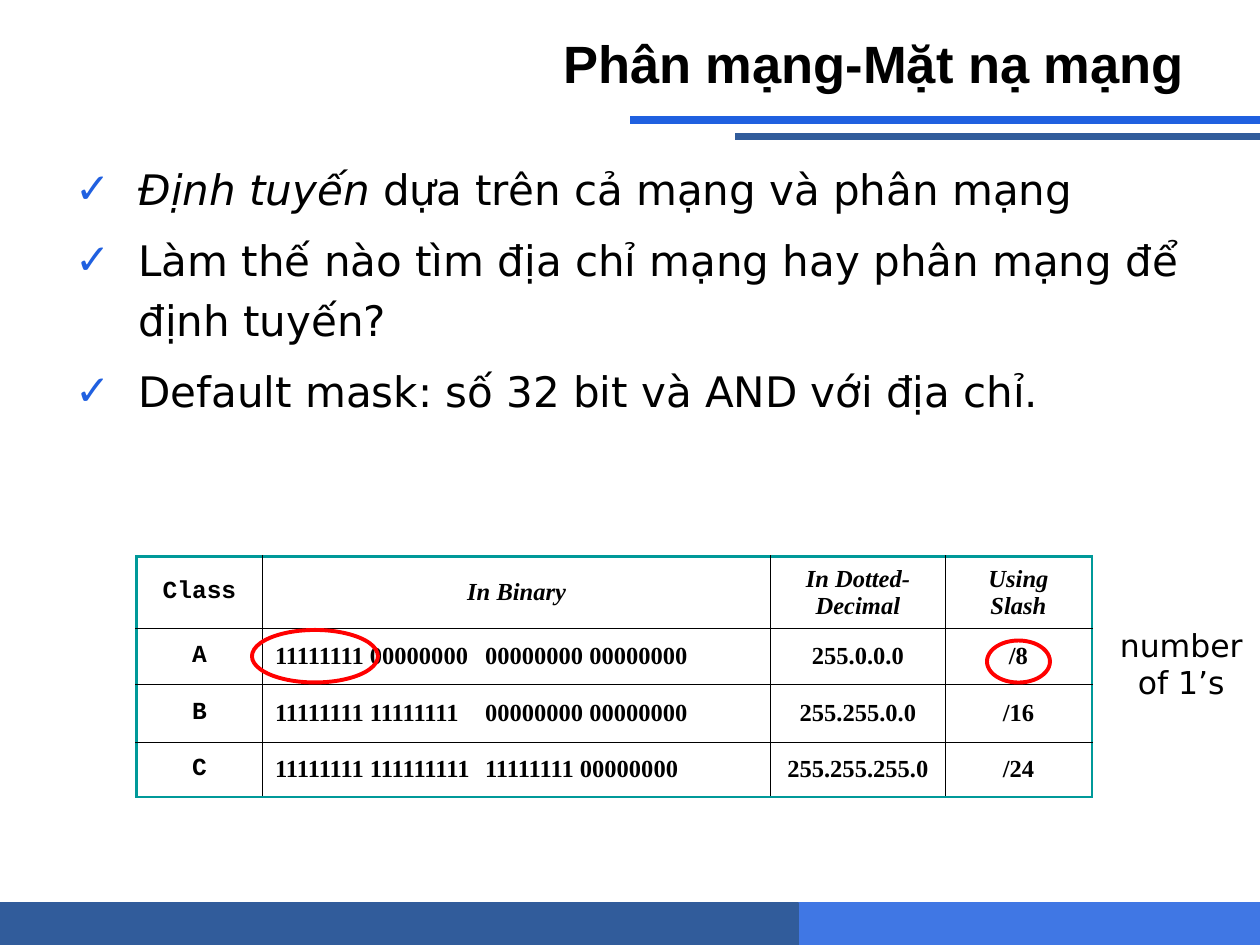
from typing import Any, NamedTuple

from lxml import etree
from pptx import Presentation
from pptx.dml.color import RGBColor
from pptx.enum.shapes import MSO_CONNECTOR, MSO_SHAPE
from pptx.enum.text import MSO_ANCHOR, MSO_AUTO_SIZE, PP_ALIGN
from pptx.oxml.ns import qn
from pptx.util import Pt

BLACK = RGBColor(0x00, 0x00, 0x00)
WHITE = RGBColor(0xFF, 0xFF, 0xFF)
BLUE = RGBColor(0x20, 0x60, 0xE0)
SKY = RGBColor(0x40, 0x77, 0xE4)
NAVY = RGBColor(0x31, 0x5C, 0x9B)
TEAL = RGBColor(0x00, 0x99, 0x99)
RED = RGBColor(0xFF, 0x00, 0x00)

RECT, OVAL = MSO_SHAPE.RECTANGLE, MSO_SHAPE.OVAL
LINE = MSO_CONNECTOR.STRAIGHT
LEFT, MID, RIGHT = PP_ALIGN.LEFT, PP_ALIGN.CENTER, PP_ALIGN.RIGHT
TOP, CENTER = MSO_ANCHOR.TOP, MSO_ANCHOR.MIDDLE
FIXED = MSO_AUTO_SIZE.NONE

SANS, MONO, SERIF = "DejaVu Sans", "Courier New", "Times New Roman"
HEAD = {"name": "Arial", "size": Pt(30), "bold": True}
BODY = {"name": SANS, "size": Pt(24), "bold": False}
NOTE = {"name": SANS, "size": Pt(18)}
CELL = {"size": Pt(14), "bold": True}


class Box(NamedTuple):
    x: float
    y: float
    w: float
    h: float


class Form(NamedTuple):
    kind: Any
    box: Box
    fill: RGBColor | None
    line: RGBColor
    width: float


class Rule(NamedTuple):
    x: float
    y: float
    color: RGBColor


class Edge(NamedTuple):
    tag: str
    outer: bool


BARS = [
    Form(RECT, Box(360, 516, 360, 24), SKY, SKY, 0.75),
    Form(RECT, Box(0, 516, 456, 24), NAVY, NAVY, 0.75),
]
RINGS = [
    Form(OVAL, Box(144, 360, 72, 30), None, RED, 2.25),
    Form(OVAL, Box(564, 366, 36, 24), None, RED, 2.25),
]
RULES = [Rule(360, 68.5, BLUE), Rule(420, 78, NAVY)]
ITEMS = [
    [("Định tuyến ", True), ("dựa trên cả mạng và phân mạng", False)],
    [("Làm thế nào tìm địa chỉ mạng hay phân mạng để định tuyến?", False)],
    [("Default mask: số 32 bit và AND với địa chỉ.", False)],
]
COLS = [72, 290.5, 99.5, 84]
ROWS = [41, 32, 33, 31.5]
DATA = [
    ["Class", "In Binary", "In Dotted-Decimal", "Using Slash"],
    ["A", "11111111 00000000\t00000000 00000000", "255.0.0.0", "/8"],
    ["B", "11111111 11111111\t00000000 00000000", "255.255.0.0", "/16"],
    ["C", "11111111 111111111\t11111111 00000000", "255.255.255.0", "/24"],
]


def apply(item: Any, values: dict[str, Any]) -> None:
    for key, value in values.items():
        setattr(item, key, value)


def place(shape: Any, box: Box) -> None:
    names = ("left", "top", "width", "height")
    apply(shape, dict(zip(names, map(Pt, box))))


def write(para: Any, text: str, style: dict[str, Any]) -> None:
    run = para.add_run()
    run.text = text
    apply(run.font, style)
    run.font.color.rgb = BLACK


def draw_form(shapes: Any, form: Form) -> None:
    shape = shapes.add_shape(form.kind, *map(Pt, form.box))
    shape.shadow.inherit = False
    if form.fill is None:
        shape.fill.background()
    else:
        shape.fill.solid()
        shape.fill.fore_color.rgb = form.fill
    shape.line.color.rgb = form.line
    shape.line.width = Pt(form.width)


def draw_rule(shapes: Any, rule: Rule) -> None:
    line = shapes.add_connector(LINE, Pt(720), Pt(rule.y), Pt(rule.x), Pt(rule.y))
    line.line.color.rgb = rule.color
    line.line.width = Pt(4.5)
    etree.SubElement(line._element.spPr, qn("a:effectLst"))


def draw_list(shape: Any) -> None:
    place(shape, Box(36, 84, 648, 408))
    frame = shape.text_frame
    apply(frame, {"vertical_anchor": TOP, "auto_size": FIXED, "word_wrap": True})
    for i, parts in enumerate(ITEMS):
        para = frame.add_paragraph() if i else frame.paragraphs[0]
        props = para._p.get_or_add_pPr()
        apply_indent = {"marL": Pt(36), "indent": Pt(-36)}
        for key, value in apply_indent.items():
            props.set(key, str(value))
        tint = etree.SubElement(props, qn("a:buClr"))
        etree.SubElement(tint, qn("a:srgbClr"), val=str(BLUE))
        etree.SubElement(props, qn("a:buChar"), char="✓")
        apply(para, {"line_spacing": 1.2, "space_before": Pt(6 if i else 0)})
        for text, slant in parts:
            write(para, text, BODY | {"italic": slant})


def draw_edge(cell: Any, spot: int, edge: Edge) -> None:
    width = Pt(1.5 if edge.outer else 0.5)
    line = etree.Element(qn(f"a:{edge.tag}"), w=str(width))
    fill = etree.SubElement(line, qn("a:solidFill"))
    color = TEAL if edge.outer else BLACK
    etree.SubElement(fill, qn("a:srgbClr"), val=str(color))
    cell._tc.get_or_add_tcPr().insert(spot, line)


def draw_cell(cell: Any, row: int, col: int) -> None:
    cell.fill.solid()
    cell.fill.fore_color.rgb = WHITE
    cell.vertical_anchor = CENTER
    para = cell.text_frame.paragraphs[0]
    text = DATA[row][col]
    if "\t" in text:
        tabs = etree.SubElement(para._p.get_or_add_pPr(), qn("a:tabLst"))
        etree.SubElement(tabs, qn("a:tab"), pos=str(Pt(120)), algn="l")
    para.alignment = LEFT if row and col == 1 else MID
    para.space_after = Pt(0 if col else 3)
    face = SERIF if col else MONO
    write(para, text, CELL | {"name": face, "italic": row == 0 and col > 0})
    edges = [
        Edge("lnL", col == 0),
        Edge("lnR", col == len(COLS) - 1),
        Edge("lnT", row == 0),
        Edge("lnB", row == len(ROWS) - 1),
    ]
    for spot, edge in enumerate(edges):
        draw_edge(cell, spot, edge)


def draw_table(shapes: Any) -> None:
    box = Box(78, 318, sum(COLS), sum(ROWS))
    table = shapes.add_table(len(ROWS), len(COLS), *map(Pt, box)).table
    apply(table, {"first_row": False, "horz_banding": False})
    for col, width in zip(table.columns, COLS):
        col.width = Pt(width)
    for r, height in enumerate(ROWS):
        table.rows[r].height = Pt(height)
        for c in range(len(COLS)):
            draw_cell(table.cell(r, c), r, c)


def main() -> None:
    deck = Presentation()
    apply(deck, {"slide_width": Pt(720), "slide_height": Pt(540)})
    slide = deck.slides.add_slide(deck.slide_layouts[1])
    shapes = slide.shapes
    for bar in BARS:
        draw_form(shapes, bar)
    for rule in RULES:
        draw_rule(shapes, rule)
    title = shapes.title
    place(title, Box(36, 12, 648, 48))
    apply(title.text_frame, {"vertical_anchor": CENTER, "auto_size": FIXED})
    para = title.text_frame.paragraphs[0]
    para.alignment = RIGHT
    write(para, "Phân mạng-Mặt nạ mạng", HEAD)
    draw_list(slide.placeholders[1])
    draw_table(shapes)
    for ring in RINGS:
        draw_form(shapes, ring)
    note = shapes.add_textbox(*map(Pt, Box(630, 354, 90, 50.5))).text_frame
    note.word_wrap = True
    note.paragraphs[0].alignment = MID
    write(note.paragraphs[0], "number of 1’s", NOTE)
    deck.save("out.pptx")


if __name__ == "__main__":
    main()
